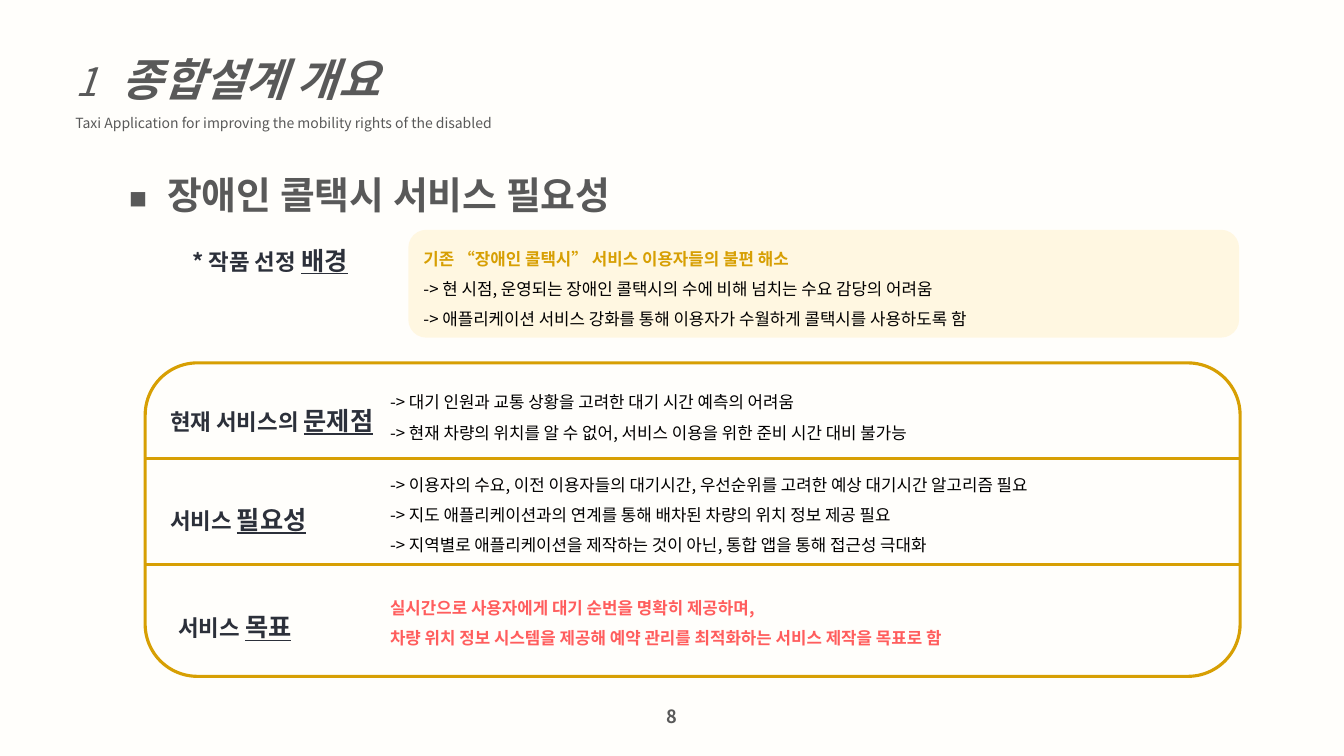
from pptx import Presentation
from pptx.dml.color import RGBColor
from pptx.enum.shapes import MSO_CONNECTOR as Connector, MSO_SHAPE as Shape
from pptx.enum.text import MSO_ANCHOR as Anchor, MSO_AUTO_SIZE as AutoSize, PP_ALIGN as Align
from pptx.oxml.ns import qn
from pptx.util import Inches, Pt
from lxml.etree import SubElement

FONT = "Noto Sans CJK KR"
CREAM = RGBColor(0xFF, 0xFE, 0xFB)
PALE_GOLD = RGBColor(0xFF, 0xF7, 0xE1)
GOLD = RGBColor(0xD7, 0x9F, 0x03)
NAVY = RGBColor(0x2C, 0x30, 0x3A)
GREY = RGBColor(0x59, 0x59, 0x59)
CORAL = RGBColor(0xFF, 0x5D, 0x5D)
BLACK = RGBColor(0, 0, 0)

BODY = {"size": Pt(12), "color": BLACK}
GOLD_BODY = {"size": Pt(12), "color": GOLD, "bold": True}
GOAL = {"size": Pt(12), "color": CORAL, "bold": True}
LABEL = {"size": Pt(16), "color": NAVY, "bold": True}
KEYWORD = {"size": Pt(18), "color": NAVY, "bold": True, "underline": True}
NUMBER = {"size": Pt(28), "color": GREY, "italic": True}
TITLE = {"size": Pt(32), "color": GREY, "bold": True, "italic": True}
SUBTITLE = {"size": Pt(10), "color": GREY}
HEADING = {"size": Pt(27), "color": GREY, "bold": True}
PAGE_NUMBER = {"size": Pt(13), "color": GREY, "bold": True}

PANEL_LEFT, PANEL_RIGHT = 1.44, 12.3
BODY_LEFT = 3.77

# label place, label words, body top, body width, body lines, body style
PANEL_ROWS = [
    ((1.49, 3.82, 2.38), "현재 서비스의 ", "문제점", 3.74, 7.64, [
        "-> 대기 인원과 교통 상황을 고려한 대기 시간 예측의 어려움",
        "-> 현재 차량의 위치를 알 수 없어, 서비스 이용을 위한 준비 시간 대비 불가능",
    ], BODY),
    ((1.49, 4.8, 2.27), "서비스 ", "필요성", 4.56, 8.59, [
        "-> 이용자의 수요, 이전 이용자들의 대기시간, 우선순위를 고려한 예상 대기시간 알고리즘 필요",
        "-> 지도 애플리케이션과의 연계를 통해 배차된 차량의 위치 정보 제공 필요",
        "-> 지역별로 애플리케이션을 제작하는 것이 아닌, 통합 앱을 통해 접근성 극대화",
    ], BODY),
    ((1.57, 5.87, 2.06), "서비스 ", "목표", 5.78, 7.78, [
        "실시간으로 사용자에게 대기 순번을 명확히 제공하며,",
        "차량 위치 정보 시스템을 제공해 예약 관리를 최적화하는 서비스 제작을 목표로 함",
    ], GOAL),
]
DIVIDERS = [4.55, 5.6]


def add_span(para, text, style):
    span = para.add_run()
    span.text = text
    span.font.name = FONT
    SubElement(span.font._element, qn("a:ea"), typeface=FONT)
    for name, value in style.items():
        if name == "color":
            span.font.color.rgb = value
        else:
            setattr(span.font, name, value)


def write(shape, paragraphs, align=Align.LEFT, spacing=1.5):
    """Fill a shape with paragraphs, each a list of (text, style) spans."""
    frame = shape.text_frame
    frame.word_wrap = True
    frame.auto_size = AutoSize.SHAPE_TO_FIT_TEXT
    for index, spans in enumerate(paragraphs):
        para = frame.paragraphs[0] if index == 0 else frame.add_paragraph()
        para.alignment = align
        para.line_spacing = spacing
        for text, style in spans:
            add_span(para, text, style)
    return frame.paragraphs[0]._p.get_or_add_pPr()


def add_text(shapes, place, paragraphs, **layout):
    """Add a text box and return the properties of its first paragraph."""
    box = shapes.add_textbox(*map(Inches, place))
    return write(box, paragraphs, **layout)


def add_label(shapes, place, words, keyword):
    properties = add_text(shapes, (*place, 0.51), [[(words, LABEL), (keyword, KEYWORD)]])
    properties.set("marL", str(Inches(0.1)))


def add_round_box(shapes, *place):
    box = shapes.add_shape(Shape.ROUNDED_RECTANGLE, *map(Inches, place))
    box.shadow.inherit = False
    return box


def add_divider(shapes, top):
    line = shapes.add_connector(Connector.STRAIGHT, Inches(PANEL_LEFT), Inches(top),
                                Inches(PANEL_RIGHT), Inches(top))
    line.line.color.rgb = GOLD
    line.line.width = Pt(2.25)
    SubElement(line._element.spPr, qn("a:effectLst"))


def add_header(shapes):
    properties = add_text(shapes, (0.65, 0.2, 6.67, 1.14), [
        [("1\t", NUMBER), ("종합설계 개요", TITLE)],
        [("Taxi Application for improving the mobility rights of the disabled", SUBTITLE)],
    ])
    tabs = SubElement(properties, qn("a:tabLst"))
    SubElement(tabs, qn("a:tab"), pos=str(Inches(0.46)), algn="l")


def add_heading(shapes):
    properties = add_text(shapes, (1.09, 1.43, 5.33, 0.71),
                          [[("장애인 콜택시 서비스 필요성", HEADING)]])
    properties.set("marL", str(Inches(0.47)))
    properties.set("indent", str(Inches(-0.38)))
    SubElement(properties, qn("a:buFont"), typeface=FONT)
    SubElement(properties, qn("a:buChar"), char="◾")


def add_background_reason(shapes):
    add_label(shapes, (1.71, 2.23, 2.27), "* 작품 선정 ", "배경")
    box = add_round_box(shapes, 4.05, 2.28, 8.24, 1.07)
    box.fill.solid()
    box.fill.fore_color.rgb = PALE_GOLD
    box.line.fill.background()
    box.text_frame.vertical_anchor = Anchor.MIDDLE
    write(box, [
        [("기존 “장애인 콜택시” 서비스 이용자들의 불편 해소", GOLD_BODY)],
        [("-> 현 시점, 운영되는 장애인 콜택시의 수에 비해 넘치는 수요 감당의 어려움", BODY)],
        [("-> 애플리케이션 서비스 강화를 통해 이용자가 수월하게 콜택시를 사용하도록 함", BODY)],
    ])


def add_panel(page):
    shapes = page.shapes.add_group_shape().shapes
    frame = add_round_box(shapes, PANEL_LEFT, 3.6, PANEL_RIGHT - PANEL_LEFT, 3.11)
    frame.fill.background()
    frame.line.color.rgb = GOLD
    frame.line.width = Pt(2.25)
    for place, words, keyword, top, width, lines, style in PANEL_ROWS:
        add_label(shapes, place, words, keyword)
        height = 0.06 + 0.305 * len(lines)
        add_text(shapes, (BODY_LEFT, top, width, height), [[(line, style)] for line in lines])
    for top in DIVIDERS:
        add_divider(shapes, top)


def main():
    deck = Presentation()
    deck.slide_width, deck.slide_height = Inches(13.33), Inches(7.5)
    page = deck.slides.add_slide(deck.slide_layouts[6])
    page.background.fill.solid()
    page.background.fill.fore_color.rgb = CREAM
    add_background_reason(page.shapes)
    add_panel(page)
    add_header(page.shapes)
    add_text(page.shapes, (0, 6.95, 13.33, 0.32), [[("8", PAGE_NUMBER)]],
             align=Align.CENTER, spacing=1.0)
    add_heading(page.shapes)
    deck.save("out.pptx")


if __name__ == "__main__":
    main()
